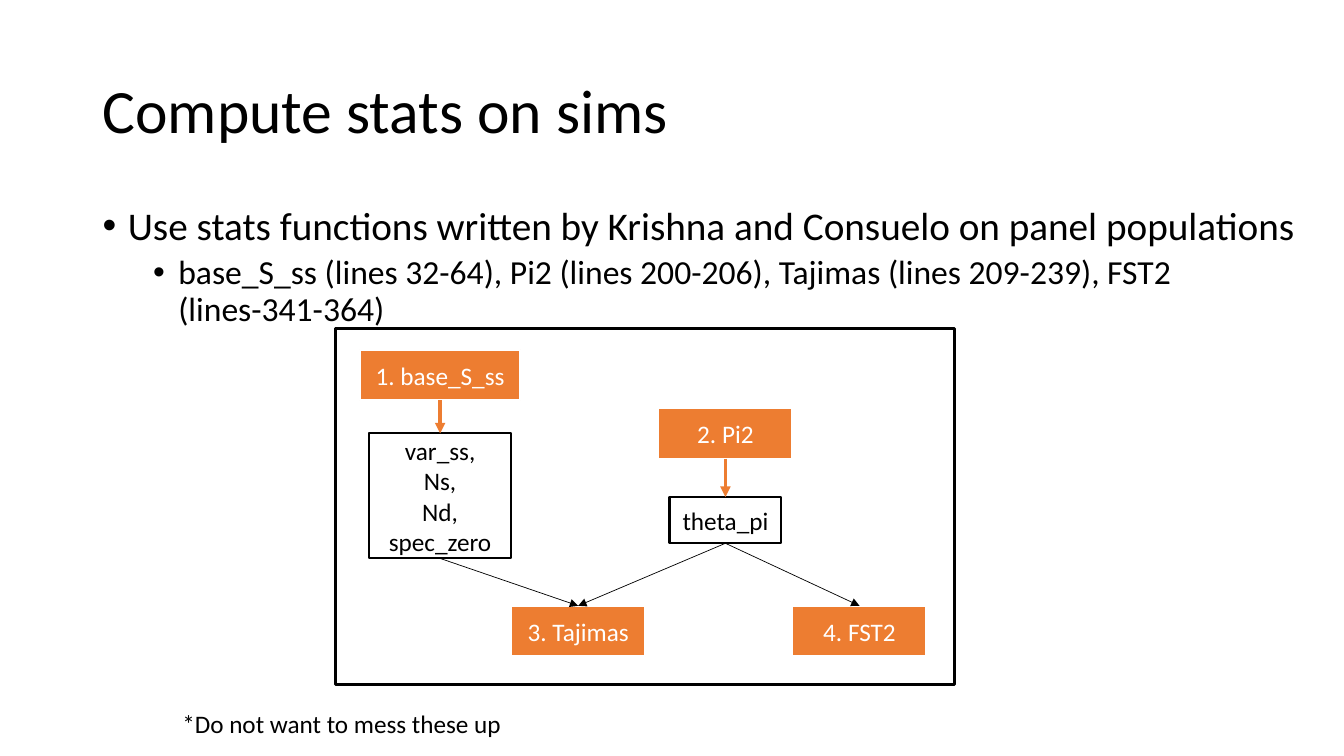
from dataclasses import dataclass

from lxml.etree import SubElement
from pptx import Presentation
from pptx.dml.color import RGBColor
from pptx.enum.shapes import MSO_CONNECTOR, MSO_SHAPE
from pptx.enum.text import MSO_ANCHOR, PP_ALIGN
from pptx.oxml.ns import qn
from pptx.shapes.autoshape import Shape
from pptx.slide import Slide
from pptx.text.text import TextFrame
from pptx.util import Inches, Pt

BLACK, WHITE, ORANGE = "000000", "FFFFFF", "ED7D31"
TOP_SITE, BOTTOM_SITE = 0, 2


@dataclass
class Box:
    left: float
    top: float
    width: float
    height: float
    lines: tuple[str, ...] = ()
    fill: str | None = None
    border: str = BLACK
    border_width: float = 1.5
    text_color: str = BLACK


@dataclass
class Arrow:
    source: str
    target: str
    color: str = BLACK
    width: float = 0.5


@dataclass
class Bullet:
    text: str
    size: int
    indent: float
    space_before: int


def color(value: str) -> RGBColor:
    return RGBColor.from_string(value)


def function_box(left: float, top: float, text: str, width: float = 1.33) -> Box:
    return Box(left, top, width, 0.5, (text,), ORANGE, WHITE, 1.5, WHITE)


def add_line(frame: TextFrame, index: int, text: str, size: int, text_color: str = BLACK):
    paragraph = frame.add_paragraph() if index else frame.paragraphs[0]
    run = paragraph.add_run()
    run.text = text
    run.font.size = Pt(size)
    run.font.name = "Calibri"
    run.font.color.rgb = color(text_color)
    return paragraph


def add_text_frame(slide: Slide, left: float, top: float, width: float, height: float) -> TextFrame:
    frame = slide.shapes.add_textbox(
        Inches(left), Inches(top), Inches(width), Inches(height)).text_frame
    frame.word_wrap = True
    return frame


def add_bullet(frame: TextFrame, index: int, bullet: Bullet) -> None:
    paragraph = add_line(frame, index, bullet.text, bullet.size)
    paragraph.line_spacing = 0.9
    paragraph.space_before = Pt(bullet.space_before)
    properties = paragraph._p.get_or_add_pPr()
    properties.set("marL", str(Inches(bullet.indent)))
    properties.set("indent", str(Inches(-0.25)))
    SubElement(properties, qn("a:buFont")).set("typeface", "Arial")
    SubElement(properties, qn("a:buChar")).set("char", "•")


def add_box(slide: Slide, box: Box) -> Shape:
    shape = slide.shapes.add_shape(
        MSO_SHAPE.RECTANGLE, Inches(box.left), Inches(box.top),
        Inches(box.width), Inches(box.height))
    shape.shadow.inherit = False
    if box.fill:
        shape.fill.solid()
        shape.fill.fore_color.rgb = color(box.fill)
    else:
        shape.fill.background()
    shape.line.color.rgb = color(box.border)
    shape.line.width = Pt(box.border_width)
    frame = shape.text_frame
    frame.word_wrap = True
    frame.vertical_anchor = MSO_ANCHOR.MIDDLE
    for index, text in enumerate(box.lines):
        add_line(frame, index, text, 18, box.text_color).alignment = PP_ALIGN.CENTER
    return shape


def add_arrow(slide: Slide, arrow: Arrow, shapes: dict[str, Shape]) -> None:
    connector = slide.shapes.add_connector(MSO_CONNECTOR.STRAIGHT, 0, 0, 0, 0)
    connector.begin_connect(shapes[arrow.source], BOTTOM_SITE)
    connector.end_connect(shapes[arrow.target], TOP_SITE)
    connector.line.color.rgb = color(arrow.color)
    connector.line.width = Pt(arrow.width)
    SubElement(connector.line._get_or_add_ln(), qn("a:tailEnd")).set("type", "triangle")
    SubElement(connector._element.spPr, qn("a:effectLst"))


BULLETS = (
    Bullet("Use stats functions written by Krishna and Consuelo on panel populations",
           28, 0.25, 10),
    Bullet("base_S_ss (lines 32-64), Pi2 (lines 200-206), Tajimas (lines 209-239), "
           "FST2 (lines-341-364)", 24, 0.75, 5),
)
BOXES = {
    "frame": Box(3.33, 3.26, 6.14, 3.53, fill=WHITE, border_width=2),
    "base": function_box(3.57, 3.47, "1. base_S_ss", 1.59),
    "pi": function_box(6.53, 4.05, "2. Pi2"),
    "tajimas": function_box(5.07, 6.01, "3. Tajimas"),
    "fst": function_box(7.86, 6.01, "4. FST2"),
    "counts": Box(3.66, 4.3, 1.41, 1.24, ("var_ss,", "Ns,", "Nd,", "spec_zero")),
    "theta": Box(6.64, 4.93, 1.11, 0.46, ("theta_pi",)),
}
ARROWS = (
    Arrow("theta", "tajimas"),
    Arrow("counts", "tajimas"),
    Arrow("theta", "fst"),
    Arrow("pi", "theta", ORANGE, 2.5),
    Arrow("base", "counts", ORANGE, 2.5),
)

presentation = Presentation()
presentation.slide_width = Inches(13.33)
presentation.slide_height = Inches(7.5)
slide = presentation.slides.add_slide(presentation.slide_layouts[6])

body = add_text_frame(slide, 0.92, 2, 12.22, 5.26)
for index, bullet in enumerate(BULLETS):
    add_bullet(body, index, bullet)

title = add_text_frame(slide, 0.92, 0.4, 11.5, 1.45)
title.vertical_anchor = MSO_ANCHOR.MIDDLE
add_line(title, 0, "Compute stats on sims", 44).line_spacing = 0.9

shapes = {name: add_box(slide, box) for name, box in BOXES.items()}
for arrow in ARROWS:
    add_arrow(slide, arrow, shapes)

footnote = add_text_frame(slide, 1.71, 6.98, 3.4, 0.4)
footnote.word_wrap = False
add_line(footnote, 0, "*Do not want to mess these up", 18)

presentation.save("out.pptx")
